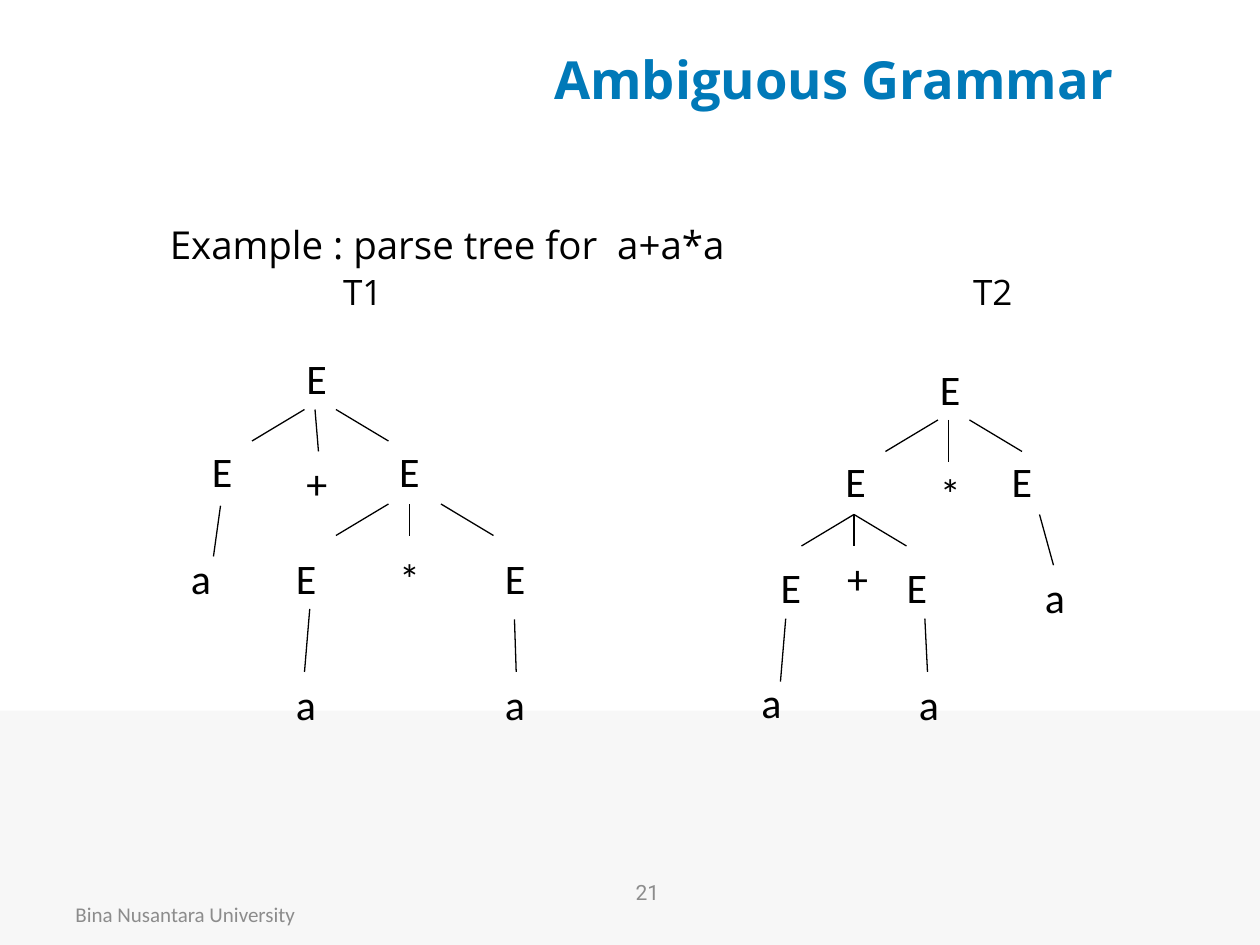
from lxml.etree import SubElement
from pptx import Presentation
from pptx.dml.color import RGBColor
from pptx.enum.shapes import MSO_CONNECTOR, MSO_SHAPE
from pptx.enum.text import MSO_ANCHOR, MSO_AUTO_SIZE, PP_ALIGN
from pptx.oxml.ns import qn
from pptx.util import Pt

BLACK, BLUE, GREY, PALE = "000000", "0079B8", "8C8C8C", "F7F7F7"
TITLE = "Ambiguous Grammar"
EXAMPLE = "Example : parse tree for  a+a*a"
TREE_NAMES = "\tT1\tT2"
TREE_NAME_STOPS = (99, 459)
PAGE_NUMBER = "21"
FOOTER = "Bina Nusantara University"

NODE_HEIGHT = 37
NODE_WIDTHS = {"E": 31, "+": 29, "*": 24, "a": 28}
# Nodes: label, left, top. Branches: start x, start y, end x, end y.
TREES = [
    {
        "nodes": [
            ("E", 168, 198),
            ("E", 114, 251), ("+", 168, 258), ("E", 221, 251),
            ("a", 102, 312), ("E", 162, 312), ("*", 221, 312), ("E", 281.5, 312),
            ("a", 162, 384), ("a", 281.5, 384),
        ],
        "branches": [
            (174, 234, 144, 252), (180, 234, 182, 258), (192, 234, 222, 252),
            (126, 289, 122, 318),
            (222, 288, 192, 306), (234, 288, 234, 306), (252, 288, 282, 306),
            (177, 348, 174, 384), (294, 354, 295, 384),
        ],
    },
    {
        "nodes": [
            ("E", 530, 204),
            ("E", 476, 257), ("*", 530, 263.5), ("E", 571, 257),
            ("E", 439, 317.5), ("+", 477, 312), ("E", 511, 317.5), ("a", 590, 323),
            ("a", 428, 383), ("a", 518, 384),
        ],
        "branches": [
            (536, 240, 506, 258), (542, 240, 542, 264), (554, 240, 584, 258),
            (488, 294, 458, 312), (488, 294, 488, 312), (488, 294, 518, 312),
            (594, 294, 602, 323),
            (449, 353.5, 446, 389.5), (528.5, 353.5, 530, 384),
        ],
    },
]


def rgb(color):
    return RGBColor.from_string(color)


def set_font(paragraph, name, size, color, bold=False):
    font = paragraph.font
    font.name, font.size, font.bold = name, Pt(size), bold
    font.color.rgb = rgb(color)


def add_text(shapes, text, box, name, size, color, bold=False,
             align=PP_ALIGN.LEFT, anchor=MSO_ANCHOR.MIDDLE):
    frame = shapes.add_textbox(*map(Pt, box)).text_frame
    frame.word_wrap = True
    frame.vertical_anchor = anchor
    paragraph = frame.paragraphs[0]
    paragraph.text = text
    paragraph.alignment = align
    set_font(paragraph, name, size, color, bold)
    return frame


def add_tab_stops(paragraph, stops):
    tab_list = SubElement(paragraph._p.get_or_add_pPr(), qn("a:tabLst"))
    for stop in stops:
        SubElement(tab_list, qn("a:tab"), pos=str(Pt(stop)), algn="l")


def add_branch(shapes, x1, y1, x2, y2):
    branch = shapes.add_connector(MSO_CONNECTOR.STRAIGHT, Pt(x1), Pt(y1), Pt(x2), Pt(y2))
    branch.line.color.rgb = rgb(BLACK)
    branch.line.width = Pt(0.75)
    SubElement(branch._element.spPr, qn("a:effectLst"))


def add_tree(slide, tree):
    shapes = slide.shapes.add_group_shape().shapes
    for label, left, top in tree["nodes"]:
        box = (left, top, NODE_WIDTHS[label], NODE_HEIGHT)
        frame = add_text(shapes, label, box, "Calibri", 24, BLACK, anchor=MSO_ANCHOR.TOP)
        frame.word_wrap = False
        frame.auto_size = MSO_AUTO_SIZE.SHAPE_TO_FIT_TEXT
    for branch in tree["branches"]:
        add_branch(shapes, *branch)


presentation = Presentation()
presentation.slide_width, presentation.slide_height = Pt(720), Pt(540)
slide = presentation.slides.add_slide(presentation.slide_layouts[6])

band = slide.shapes.add_shape(MSO_SHAPE.RECTANGLE, Pt(0), Pt(406), Pt(720), Pt(134))
band.shadow.inherit = False
band.fill.solid()
band.fill.fore_color.rgb = rgb(PALE)
band.line.fill.background()

add_text(slide.shapes, TITLE, (246, 18, 461, 54), "Open Sans", 30, BLUE,
         bold=True, align=PP_ALIGN.CENTER)

body = add_text(slide.shapes, EXAMPLE, (90, 126, 557, 275), "Open Sans", 22, BLACK,
                anchor=MSO_ANCHOR.TOP)
tree_names = body.add_paragraph()
tree_names.text = TREE_NAMES
tree_names.space_before = Pt(4)
for paragraph in body.paragraphs:
    paragraph.line_spacing = 0.9
add_tab_stops(tree_names, TREE_NAME_STOPS)
set_font(tree_names, "Open Sans", 20, BLACK)

add_text(slide.shapes, PAGE_NUMBER, (256, 491, 228, 37), "Roboto", 12, GREY,
         align=PP_ALIGN.CENTER)
for tree in TREES:
    add_tree(slide, tree)
add_text(slide.shapes, FOOTER, (36, 508, 168, 29), "Calibri", 12, GREY)

presentation.save("out.pptx")
